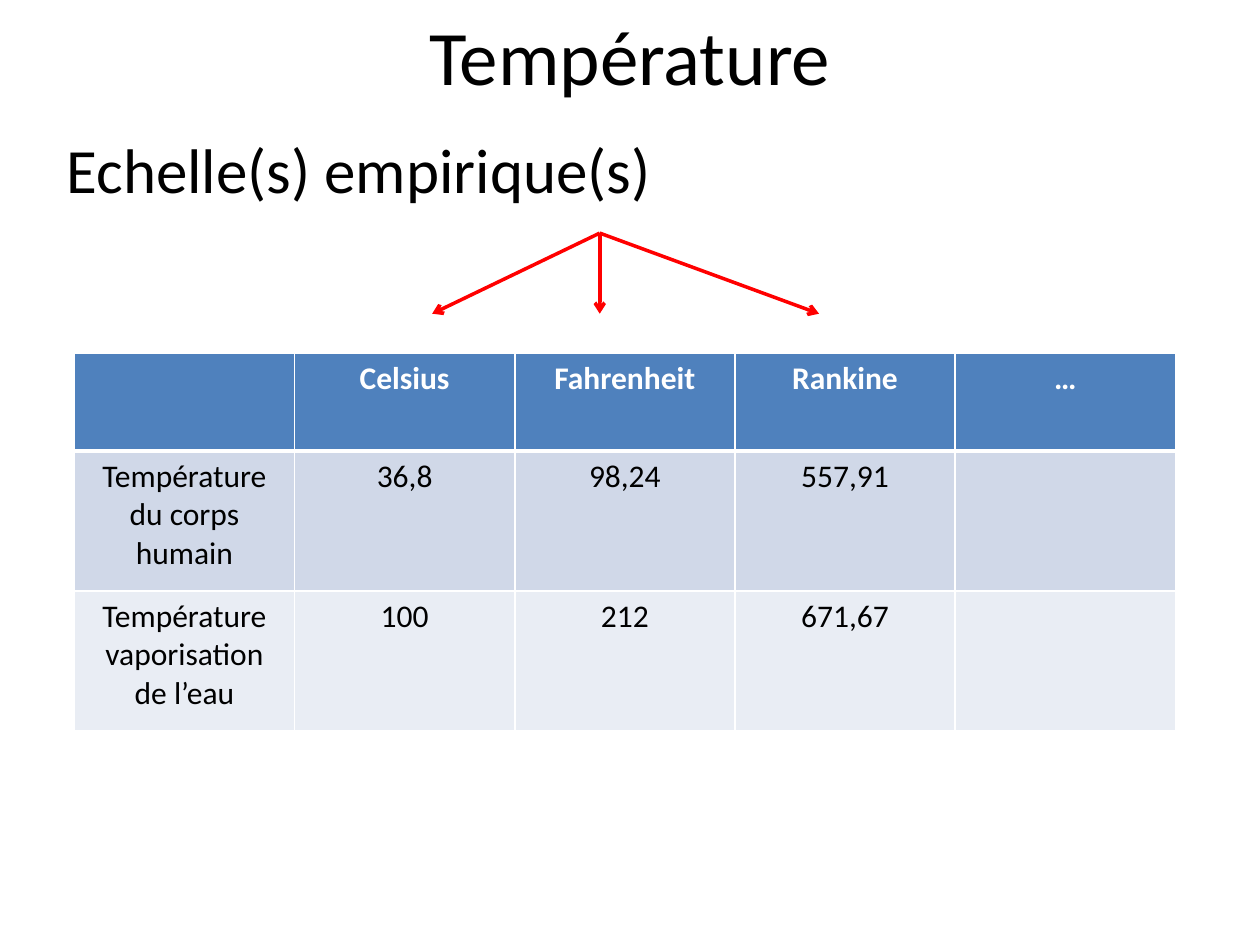
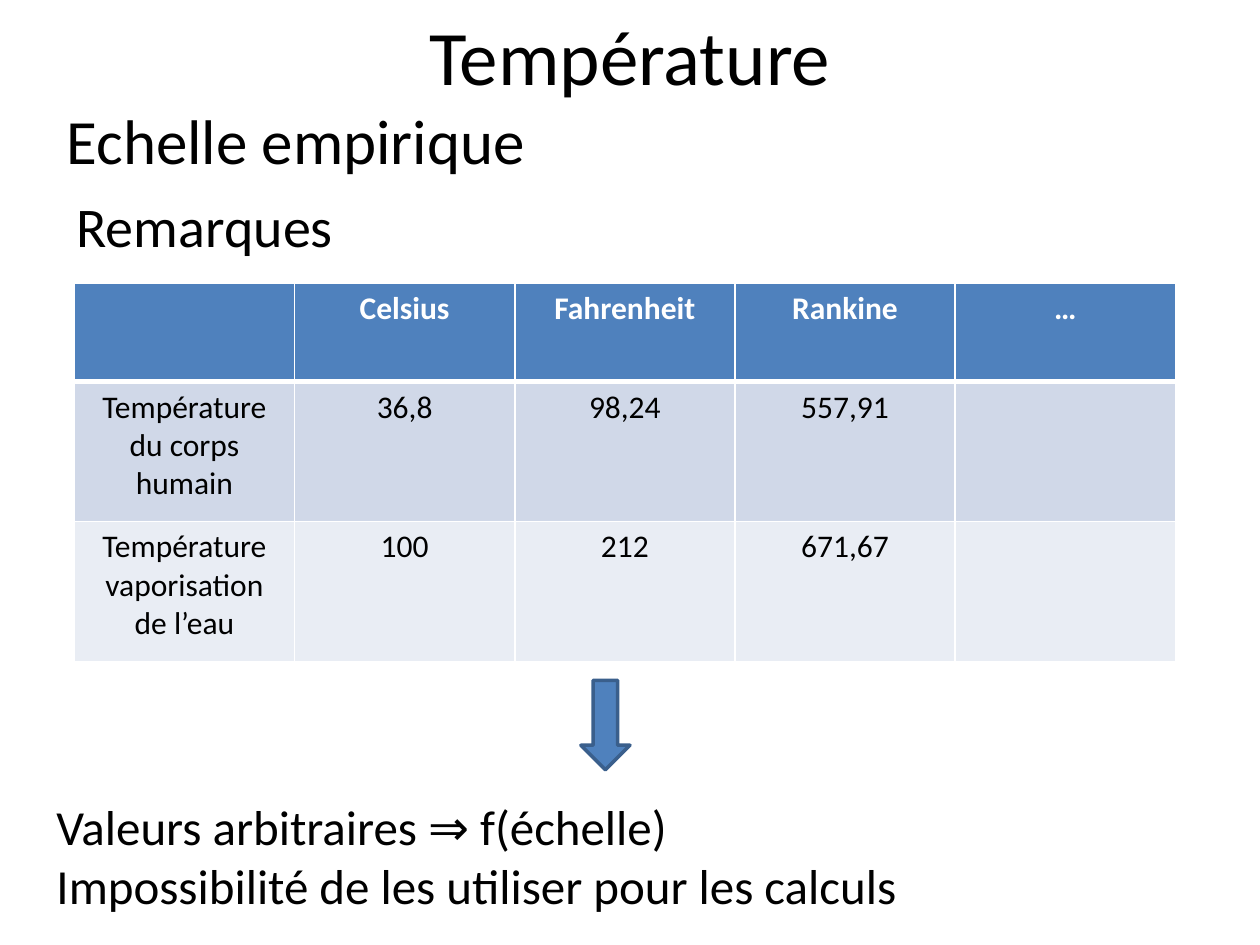
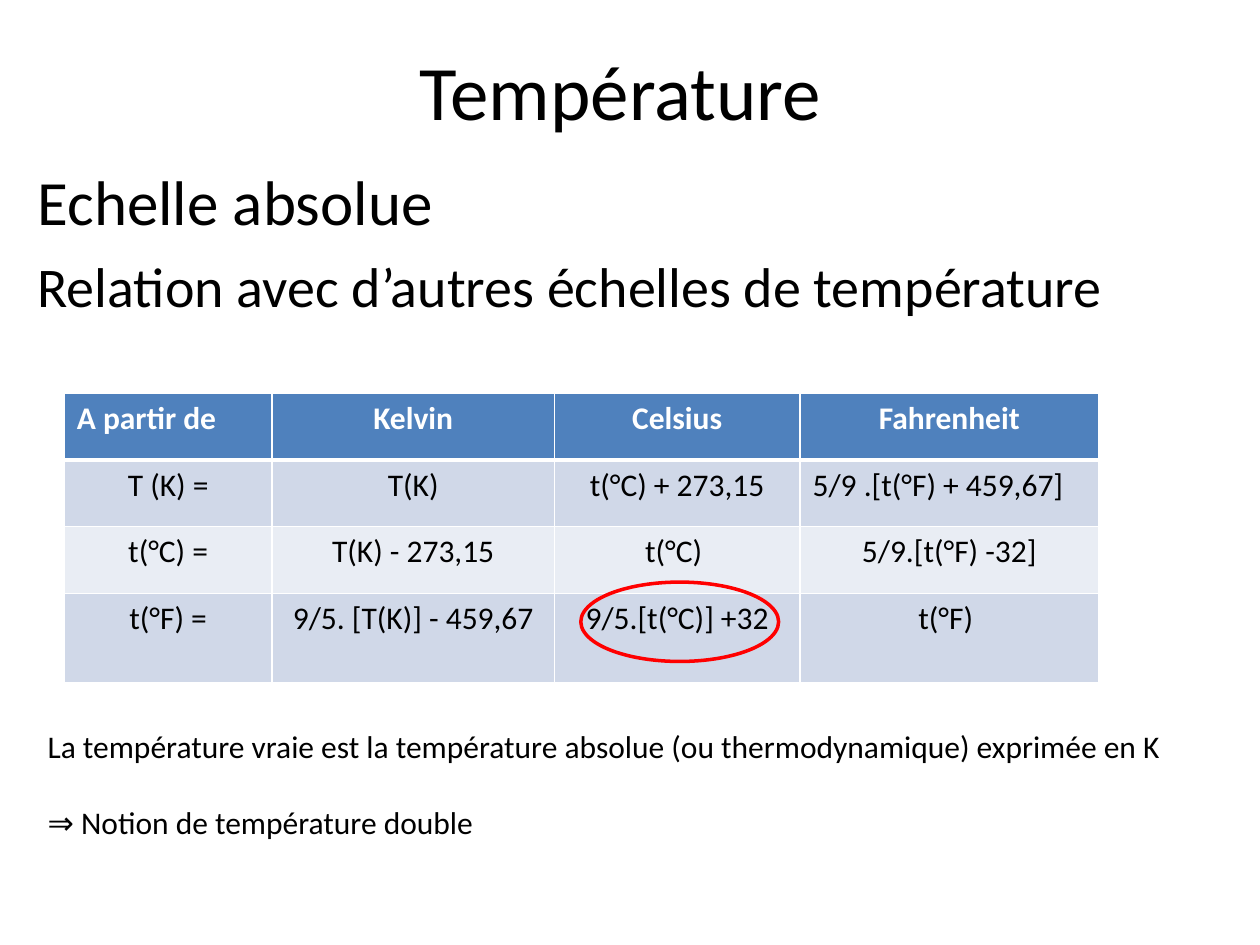
from lxml.etree import SubElement
from pptx import Presentation
from pptx.dml.color import RGBColor
from pptx.enum.shapes import MSO_CONNECTOR, MSO_SHAPE
from pptx.enum.text import MSO_ANCHOR as Anchor, MSO_AUTO_SIZE as AutoSize, PP_ALIGN as Align
from pptx.oxml import parse_xml
from pptx.oxml.ns import nsdecls, qn
from pptx.util import Inches, Pt

BLACK = RGBColor(0x00, 0x00, 0x00)
WHITE = RGBColor(0xFF, 0xFF, 0xFF)
RED = RGBColor(0xFF, 0x00, 0x00)
BLUE = RGBColor(0x4F, 0x81, 0xBD)
DARK_BLUE = RGBColor(0x3A, 0x5F, 0x8C)
BANDS = (RGBColor(0xD0, 0xD8, 0xE8), RGBColor(0xE9, 0xED, 0xF4))

FONT = "Calibri"
TITLE, HEADING, SUBHEADING, CONCLUSION, BODY = 44, 36, 32, 28, 18
LINE = 2
COLUMNS, ROWS = 100, 75

TITLE_BOX = (5, -1.9, 90, 12.5)
SCALE_COLUMNS = [17.48] * 5
SCALE_ROWS = [7.8, 11.1, 11.1]
SCALES = [
    ["", "Celsius", "Fahrenheit", "Rankine", "…"],
    ["Température du corps humain", "36,8", "98,24", "557,91", ""],
    ["Température vaporisation de l’eau", "100", "212", "671,67", ""],
]
CONVERSIONS = [
    ["A partir de", "Kelvin", "Celsius", "Fahrenheit"],
    ["T (K) =", "T(K)", "t(°C) + 273,15", "5/9 .[t(°F) + 459,67]"],
    ["t(°C) =", "T(K) - 273,15", "t(°C) ", "5/9.[t(°F) -32]"],
    ["t(°F) =", "9/5. [T(K)] - 459,67", "9/5.[t(°C)] +32", "t(°F) "],
]


class Deck:
    """Shared style and the slide being filled; lengths are grid columns and rows."""

    def __init__(self):
        self.show = Presentation()
        self.show.slide_width, self.show.slide_height = Inches(10), Inches(7.5)
        self.slide = None

    def new_slide(self):
        self.slide = self.show.slides.add_slide(self.show.slide_layouts[6])

    def across(self, columns):
        return round(self.show.slide_width * columns / COLUMNS)

    def down(self, rows):
        return round(self.show.slide_height * rows / ROWS)

    def box(self, left, top, width, height):
        return self.across(left), self.down(top), self.across(width), self.down(height)

    def add_words(self, paragraph, words, size, color=BLACK, bold=False, align=Align.LEFT):
        paragraph.alignment = align
        run = paragraph.add_run()
        run.text = words
        run.font.name, run.font.size, run.font.bold = FONT, Pt(size), bold
        run.font.color.rgb = color

    def text(self, box, lines, size, gap=0):
        frame = self.slide.shapes.add_textbox(*self.box(*box)).text_frame
        frame.word_wrap = True
        frame.auto_size = AutoSize.SHAPE_TO_FIT_TEXT
        for i, words in enumerate(lines):
            paragraph = frame.add_paragraph() if i else frame.paragraphs[0]
            if i:
                paragraph.space_before = Pt(gap)
            self.add_words(paragraph, words, size)

    def title(self, box, words, size=TITLE, align=Align.CENTER):
        frame = self.slide.shapes.add_textbox(*self.box(*box)).text_frame
        frame.word_wrap = True
        frame.auto_size = AutoSize.NONE
        frame.vertical_anchor = Anchor.MIDDLE
        self.add_words(frame.paragraphs[0], words, size, align=align)

    def borders(self, cell, top, bottom):
        properties = cell._tc.get_or_add_tcPr()
        widths = {"lnL": 1, "lnR": 1, "lnT": top, "lnB": bottom}
        for i, (side, width) in enumerate(widths.items()):
            properties.insert(i, parse_xml(
                f'<a:{side} {nsdecls("a")} w="{Pt(width)}"><a:solidFill>'
                f'<a:srgbClr val="{WHITE}"/></a:solidFill></a:{side}>'))

    def table(self, left, top, columns, rows, content, left_aligned=()):
        box = self.box(left, top, sum(columns), sum(rows))
        grid = self.slide.shapes.add_table(len(rows), len(columns), *box).table
        for column, width in zip(grid.columns, columns):
            column.width = self.across(width)
        for r, (row, height) in enumerate(zip(grid.rows, rows)):
            row.height = self.down(height)
            header = r == 0
            for cell, words in zip(row.cells, content[r]):
                cell.fill.solid()
                cell.fill.fore_color.rgb = BLUE if header else BANDS[(r - 1) % 2]
                self.borders(cell, 3 if r == 1 else 1, 3 if header else 1)
                if words:
                    align = Align.LEFT if words in left_aligned else Align.CENTER
                    self.add_words(cell.text_frame.paragraphs[0], words, BODY,
                                   WHITE if header else BLACK, header, align)

    def scale_table(self, top):
        self.table(5.9, top, SCALE_COLUMNS, SCALE_ROWS, SCALES)

    def arrow(self, start, end):
        (x1, y1), (x2, y2) = start, end
        arrow = self.slide.shapes.add_connector(
            MSO_CONNECTOR.STRAIGHT, self.across(x1), self.down(y1),
            self.across(x2), self.down(y2))
        arrow.line.color.rgb, arrow.line.width = RED, Pt(LINE)
        SubElement(arrow.line._get_or_add_ln(), qn("a:tailEnd"), type="arrow")
        SubElement(arrow._element.spPr, qn("a:effectLst"))

    def shape(self, preset, box, outline, fill=None):
        shape = self.slide.shapes.add_shape(preset, *self.box(*box))
        shape.shadow.inherit = False
        shape.line.color.rgb, shape.line.width = outline, Pt(LINE)
        if fill is None:
            shape.fill.background()
        else:
            shape.fill.solid()
            shape.fill.fore_color.rgb = fill


def empirical_scales(deck):
    deck.new_slide()
    deck.title(TITLE_BOX, "Température")
    deck.text((4.3, 9.9, 81.1, 7.1), ["Echelle(s) empirique(s)"], HEADING)
    deck.scale_table(28)
    # Arrows fanning out to the three scales
    for target in (65, 47.6, 34.3):
        deck.arrow((47.6, 18.5), (target, 24.9))


def remarks(deck):
    deck.new_slide()
    deck.title(TITLE_BOX, "Température")
    deck.text((4.3, 7.6, 42.5, 7.1), ["Echelle empirique"], HEADING)
    deck.text((5.1, 14.7, 49.6, 6.4), ["Remarques"], SUBHEADING)
    # Table leading to the conclusion
    deck.shape(MSO_SHAPE.DOWN_ARROW, (46.1, 54, 3.9, 7.1), DARK_BLUE, BLUE)
    deck.scale_table(22.5)
    deck.text((3.5, 62.7, 93.7, 10.4),
              ["Valeurs arbitraires ⇒ f(échelle)",
               "Impossibilité de les utiliser pour les calculs"], CONCLUSION)


def absolute_scale(deck):
    deck.new_slide()
    deck.title((2, 17.2, 90, 10.9), "Relation avec d’autres échelles de température",
               SUBHEADING, Align.LEFT)
    deck.title((16.9, 2.9, 66.1, 8.5), "Température ")
    deck.text((2, 12.4, 42.5, 7.1), ["Echelle absolue"], HEADING)
    deck.text((2.8, 57.2, 91.3, 10.1),
              ["La température vraie est la température absolue (ou thermodynamique) exprimée en K",
               "⇒ Notion de température double"], BODY, gap=22)
    # Conversion formulas, with the Celsius to Fahrenheit one circled
    deck.table(5.1, 31.2, [16.5, 22.4, 19.5, 23.7], [5.3, 5.3, 5.3, 7.1], CONVERSIONS,
               left_aligned=(CONVERSIONS[0][0], CONVERSIONS[1][3]))
    deck.shape(MSO_SHAPE.OVAL, (46.1, 46.2, 15.7, 6.3), RED)


def main():
    deck = Deck()
    empirical_scales(deck)
    remarks(deck)
    absolute_scale(deck)
    deck.show.save("out.pptx")


if __name__ == "__main__":
    main()
